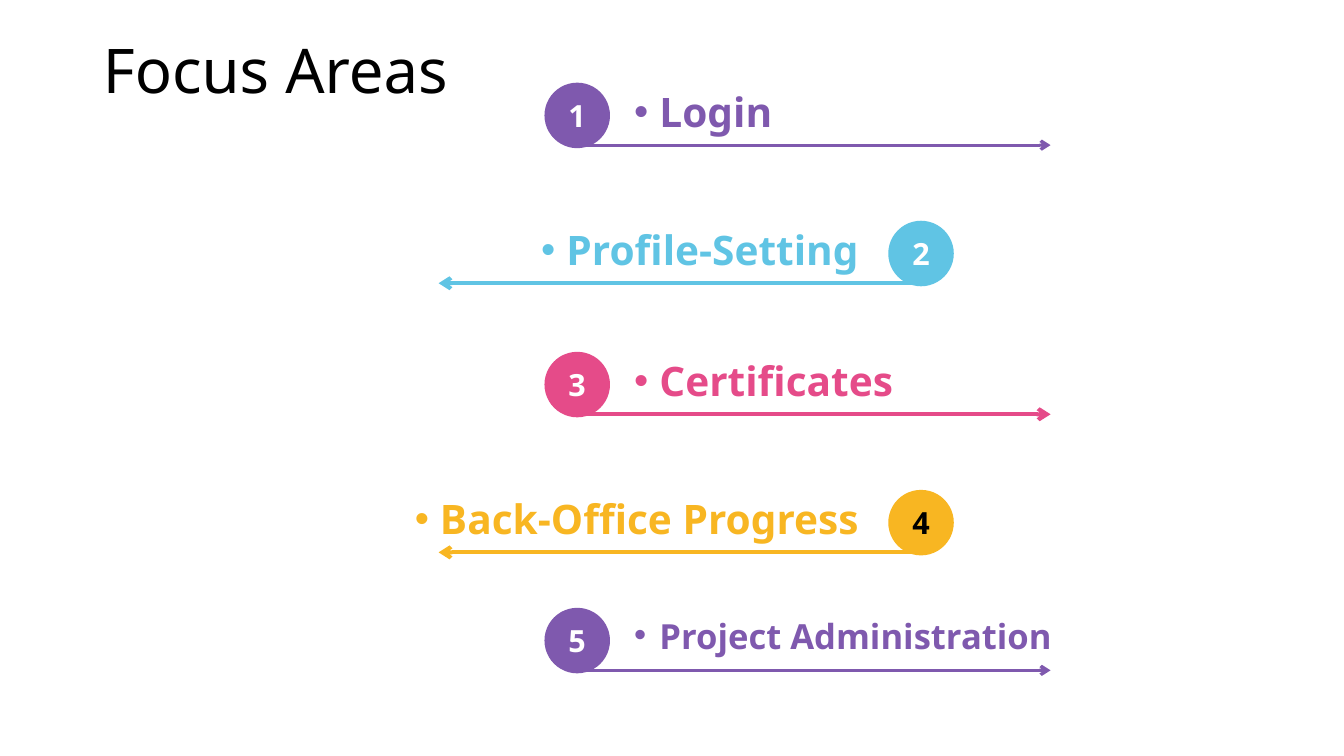
from copy import deepcopy
from dataclasses import dataclass

from lxml.etree import SubElement
from pptx import Presentation
from pptx.dml.color import RGBColor
from pptx.enum.shapes import MSO_CONNECTOR, MSO_SHAPE
from pptx.enum.text import MSO_ANCHOR as Anchor, MSO_AUTO_SIZE as AutoSize, PP_ALIGN as Align
from pptx.oxml.ns import qn
from pptx.util import Inches, Pt


@dataclass(frozen=True)
class Theme:
    """Colours, font and type sizes of the slide."""
    font: str = "Noto Sans"
    purple: str = "7F59AE"
    blue: str = "60C4E4"
    pink: str = "E54B89"
    amber: str = "F8B622"
    white: str = "FFFFFF"
    black: str = "000000"
    title: float = 44
    label: float = 29
    small_label: float = 24.7
    number: float = 21.8
    thin: float = 2.27
    thick: float = 2.83


@dataclass(frozen=True)
class Area:
    """One focus area: its wording, place and look."""
    label: str
    top: float
    color: str
    leftward: bool = False
    width: float = 4.14
    size: float = Theme.label
    spacing: float = 0.9
    stroke: float = Theme.thick
    number_color: str = Theme.white


THEME = Theme()
AREAS = [
    Area("Login", 0.82, THEME.purple, stroke=THEME.thin),
    Area("Profile-Setting", 2.19, THEME.blue, leftward=True),
    Area("Certificates", 3.49, THEME.pink),
    Area("Back-Office Progress", 4.86, THEME.amber, leftward=True, width=5.07,
         number_color=THEME.black),
    Area("Project Administration", 6.03, THEME.purple, width=4.71,
         size=THEME.small_label, spacing=0.8, stroke=THEME.thin),
]
DISC = 0.65
RULE_DROP = 0.62
RULE_LENGTH = 4.71
RIGHTWARD_DISC, LEFTWARD_DISC = 5.4, 8.81


def place(shape, left, top, width, height):
    """Put a shape in a box given in inches."""
    shape.left, shape.top = Inches(left), Inches(top)
    shape.width, shape.height = Inches(width), Inches(height)


def write(paragraph, text, size, color, bold=False):
    """Add one formatted run to a paragraph."""
    run = paragraph.add_run()
    run.text = text
    run.font.name = THEME.font
    run.font.size = Pt(size)
    run.font.bold = bold
    run.font.color.rgb = RGBColor.from_string(color)


def add_title(title, left, top, width, height):
    """Place the slide title at the top of its box."""
    place(title, left, top, width, height)
    frame = title.text_frame
    frame.auto_size = AutoSize.NONE
    frame.vertical_anchor = Anchor.TOP
    frame.margin_top = 0
    heading = frame.paragraphs[0]
    heading.alignment = Align.LEFT
    heading.line_spacing = 0.9
    write(heading, "Focus Areas", THEME.title, THEME.black)


def add_marker(slide, area, number, left):
    """Draw the numbered disc and its arrow, the disc starting at left."""
    marker = slide.shapes.add_group_shape().shapes
    color = RGBColor.from_string(area.color)
    disc = marker.add_shape(MSO_SHAPE.OVAL, Inches(left), Inches(area.top),
                            Inches(DISC), Inches(DISC))
    disc.shadow.inherit = False
    disc.fill.solid()
    disc.fill.fore_color.rgb = color
    disc.line.fill.background()
    frame = disc.text_frame
    frame.margin_left = frame.margin_right = frame.margin_top = frame.margin_bottom = 0
    frame.word_wrap = False
    frame.vertical_anchor = Anchor.MIDDLE
    frame.paragraphs[0].alignment = Align.CENTER
    write(frame.paragraphs[0], str(number), THEME.number, area.number_color, bold=True)

    start = left + (0.25 if area.leftward else 0.31)
    tip = start + (-RULE_LENGTH if area.leftward else RULE_LENGTH)
    rule_y = Inches(area.top + RULE_DROP)
    arrow = marker.add_connector(MSO_CONNECTOR.STRAIGHT, Inches(tip), rule_y,
                                 Inches(start), rule_y)
    arrow.line.color.rgb = color
    arrow.line.width = Pt(area.stroke)
    SubElement(arrow.line._get_or_add_ln(), qn("a:headEnd"), type="arrow")
    SubElement(arrow.element.spPr, qn("a:effectLst"))


def add_label(slide, body, area, left):
    """Place a bulleted label beside the disc that starts at left."""
    element = deepcopy(body.element)
    element.nvSpPr.cNvPr.set("id", str(max(s.shape_id for s in slide.shapes) + 100))
    slide.shapes.element.append(element)
    label = slide.shapes[-1]
    label_left = left - 0.19 - area.width if area.leftward else left + 0.79
    place(label, label_left, area.top, area.width, RULE_DROP)
    frame = label.text_frame
    frame.word_wrap = True
    frame.auto_size = AutoSize.NONE
    frame.vertical_anchor = Anchor.MIDDLE
    line = frame.paragraphs[0]
    line.alignment = Align.RIGHT if area.leftward else Align.LEFT
    line.line_spacing = area.spacing
    line.space_before = Pt(0)
    properties = line._p.get_or_add_pPr()
    properties.set("marL", str(Inches(0.25)))
    properties.set("indent", str(Inches(-0.25)))
    SubElement(properties, qn("a:buFont"), typeface="Arial")
    SubElement(properties, qn("a:buChar"), char="•")
    write(line, area.label, area.size, area.color, bold=True)


def build_focus_areas(deck):
    """Build the slide of alternating focus areas."""
    slide = deck.slides.add_slide(deck.slide_layouts[1])
    add_title(slide.shapes.title, 0.92, 0.4, 11.5, 1.45)
    body = slide.placeholders[1]
    for number, area in enumerate(AREAS, 1):
        left = LEFTWARD_DISC if area.leftward else RIGHTWARD_DISC
        add_marker(slide, area, number, left)
        add_label(slide, body, area, left)
    slide.shapes.element.remove(body.element)


def main():
    """Create and save the presentation."""
    deck = Presentation()
    deck.slide_width, deck.slide_height = Inches(13.33), Inches(7.5)
    build_focus_areas(deck)
    deck.save("out.pptx")


if __name__ == "__main__":
    main()
